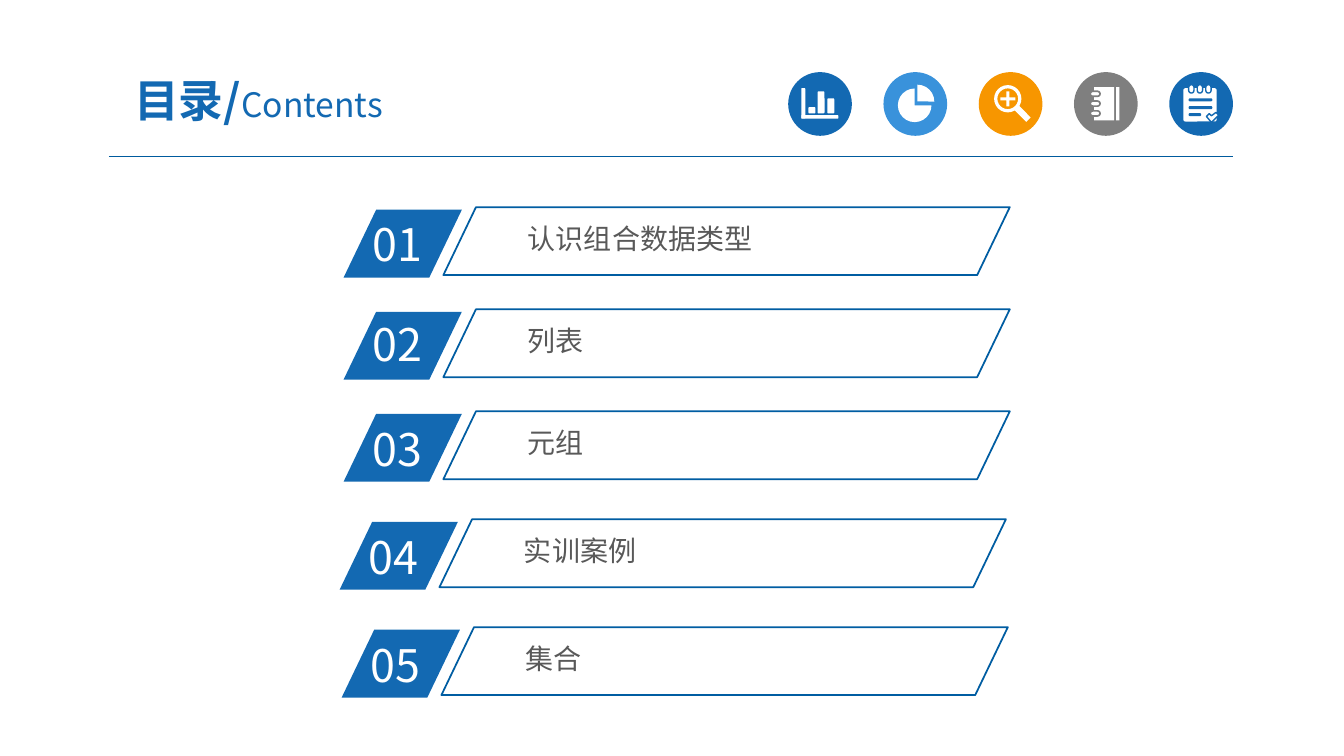
"""Builds a contents slide with a header, five icons and five numbered rows."""
from lxml import etree
from pptx import Presentation
from pptx.dml.color import RGBColor
from pptx.enum.shapes import MSO_CONNECTOR, MSO_SHAPE
from pptx.enum.text import MSO_ANCHOR, MSO_AUTO_SIZE, PP_ALIGN
from pptx.oxml.ns import qn
from pptx.util import Pt

STRAIGHT = MSO_CONNECTOR.STRAIGHT
OVAL, ROUND, RECT = MSO_SHAPE.OVAL, MSO_SHAPE.ROUNDED_RECTANGLE, MSO_SHAPE.RECTANGLE
PIE, DONUT, CROSS = MSO_SHAPE.PIE, MSO_SHAPE.DONUT, MSO_SHAPE.CROSS
PARALLELOGRAM = MSO_SHAPE.PARALLELOGRAM
TOP, MIDDLE = MSO_ANCHOR.TOP, MSO_ANCHOR.MIDDLE
CENTER, NO_FIT = PP_ALIGN.CENTER, MSO_AUTO_SIZE.NONE

FONT = "Noto Sans CJK SC"
COLORS = {
    "blue": "1369B2", "sky": "3992DB", "orange": "F79600", "gray": "7F7F7F",
    "white": "FFFFFF", "text": "595959", "outline": "005DA2", "rule": "005B9E",
}
ROWS = [
    ("01", "认识组合数据类型", 245.4, 149.8, 1.4),
    ("02", "列表", 245.4, 222.7, 0),
    ("03", "元组", 245.4, 295.6, 2.2),
    ("04", "实训案例", 242.6, 372.7, 2.2),
    ("05", "集合", 244, 449.8, 2.2),
]
ICON_LEFT, ICON_TOP, ICON_SIZE, ICON_PITCH = 563, 51.5, 45.5, 68.05


def color(name):
    """Return a named colour."""
    return RGBColor.from_string(COLORS[name])


def paint(sp, fill=None, line=None, width=1):
    """Set fill and outline, and drop the shadow."""
    sp.shadow.inherit = False
    if fill:
        sp.fill.solid()
        sp.fill.fore_color.rgb = color(fill)
    else:
        sp.fill.background()
    if line:
        sp.line.color.rgb = color(line)
        sp.line.width = Pt(width)
    else:
        sp.line.fill.background()


def add_shape(s, kind, box, fill=None, line=None, width=1, adj=()):
    """Add a preset shape."""
    sp = s.shapes.add_shape(kind, *map(Pt, box))
    for i, value in enumerate(adj):
        sp.adjustments[i] = value
    paint(sp, fill, line, width)


def add_line(s, start, end, name, width):
    """Add a straight line without a shadow."""
    c = s.shapes.add_connector(STRAIGHT, *map(Pt, start + end))
    c.line.color.rgb = color(name)
    c.line.width = Pt(width)
    etree.SubElement(c._element.spPr, qn("a:effectLst"))


def add_run(p, text, size, name, bold=False):
    """Add a run set in the slide's font."""
    r = p.add_run()
    r.text = text
    r.font.size, r.font.bold, r.font.name = Pt(size), bold, FONT
    r.font.color.rgb = color(name)
    etree.SubElement(r._r.get_or_add_rPr(), qn("a:ea"), typeface=FONT)


def set_frame(tf, insets, anchor):
    """Set wrapping, margins and anchor of a text frame."""
    tf.word_wrap, tf.auto_size, tf.vertical_anchor = True, NO_FIT, anchor
    tf.margin_left = tf.margin_right = Pt(insets[0])
    tf.margin_top = tf.margin_bottom = Pt(insets[1])


def add_text(s, box, text, size, name, insets):
    """Add a one-line text box."""
    tf = s.shapes.add_textbox(*map(Pt, box)).text_frame
    set_frame(tf, insets, TOP)
    add_run(tf.paragraphs[0], text, size, name)


def add_title(s):
    """Fill the title placeholder."""
    sp = s.shapes.title
    sp.left, sp.top, sp.width, sp.height = map(Pt, (66.2, 45.4, 236.9, 51.8))
    set_frame(sp.text_frame, (9.4, 5), MIDDLE)
    p = sp.text_frame.paragraphs[0]
    p.alignment = CENTER
    add_run(p, "目录/", 32, "blue", True)
    add_run(p, "Contents", 24, "blue")


def add_bar_icon(s, x, y):
    """Draw a bar chart icon."""
    for dx, dy, w, h in [(9.4, 11.5, 2.8, 21.6), (9.4, 30.8, 26.4, 2.5),
                         (14.5, 25, 5, 4.5), (21, 13.7, 5, 15.8), (28, 18.7, 5, 10.8)]:
        add_shape(s, ROUND, (x + dx, y + dy, w, h), "white")


def add_pie_icon(s, x, y):
    """Draw a pie with one quarter pulled out."""
    add_shape(s, PIE, (x + 10.3, y + 11.7, 24, 24), "white", adj=(0, 162))
    add_shape(s, PIE, (x + 12.3, y + 9, 24, 24), "white", adj=(162, 0))


def add_magnifier_icon(s, x, y):
    """Draw a magnifier with a plus sign."""
    add_shape(s, DONUT, (x + 11, y + 9.3, 19.5, 19.5), "white", adj=(0.12,))
    add_shape(s, CROSS, (x + 15.4, y + 13.7, 10.8, 10.8), "white", adj=(0.4,))
    add_line(s, (x + 27, y + 25.4), (x + 35.5, y + 34), "white", 4.5)


def add_notebook_icon(s, x, y):
    """Draw a ring-bound notebook."""
    add_shape(s, RECT, (x + 14.4, y + 10.8, 14.4, 23.8), "white")
    add_shape(s, RECT, (x + 30.2, y + 10.8, 2.2, 23.8), "white")
    for i in range(3):
        add_shape(s, ROUND, (x + 11.6, y + 13.7 + 7 * i, 7, 3.6),
                  "white", "gray", 1.2, (0.5,))


def add_checklist_icon(s, x, y):
    """Draw a notepad with a check mark."""
    add_shape(s, ROUND, (x + 10.1, y + 11.5, 23.8, 23.8), "white", adj=(0.06,))
    for dy, w in [(18.7, 17), (24.3, 17), (29.3, 9)]:
        add_shape(s, ROUND, (x + 13.8, y + dy, w, 2.2), "blue", adj=(0.5,))
    for i in range(3):
        add_shape(s, ROUND, (x + 13.9 + 6.1 * i, y + 9, 3.8, 6),
                  "white", "blue", 1, (0.5,))
    check = [(26.6, 31.7), (28.6, 29.7), (30.2, 31.2), (33.4, 28.8), (35.4, 30.8), (30.2, 36)]
    points = [(Pt(x + dx), Pt(y + dy)) for dx, dy in check]
    fb = s.shapes.build_freeform(*points[0])
    fb.add_line_segments(points[1:], close=True)
    paint(fb.convert_to_shape(), "white", "blue")


def add_icons(s):
    """Draw the row of round icons."""
    icons = [("blue", add_bar_icon), ("sky", add_pie_icon), ("orange", add_magnifier_icon),
             ("gray", add_notebook_icon), ("blue", add_checklist_icon)]
    for i, (fill, draw) in enumerate(icons):
        x = ICON_LEFT + i * ICON_PITCH
        add_shape(s, OVAL, (x, ICON_TOP, ICON_SIZE, ICON_SIZE), fill)
        draw(s, x, ICON_TOP)


def add_row(s, number, topic, x, y, shift):
    """Add one numbered contents row."""
    add_shape(s, PARALLELOGRAM, (x, y, 84.5, 48.5), "blue", adj=(0.48,))
    add_text(s, (x + 13.7, y + shift, 80.6, 46), number, 32, "white", (7.2, 3.6))
    add_text(s, (x + 126.7, y + 5.4, 296.6, 29.5), topic, 20, "text", (5, 2.9))
    add_shape(s, PARALLELOGRAM, (x + 71.3, y - 1.8, 404.6, 48.5),
              line="outline", width=1.25, adj=(0.48,))


def main():
    """Build and save the slide."""
    prs = Presentation()
    prs.slide_width, prs.slide_height = Pt(960), Pt(540)
    s = prs.slides.add_slide(prs.slide_layouts[5])
    add_line(s, (77.8, 111.6), (880.6, 111.6), "rule", 0.75)
    add_icons(s)
    add_title(s)
    for row in ROWS:
        add_row(s, *row)
    prs.save("out.pptx")


if __name__ == "__main__":
    main()
